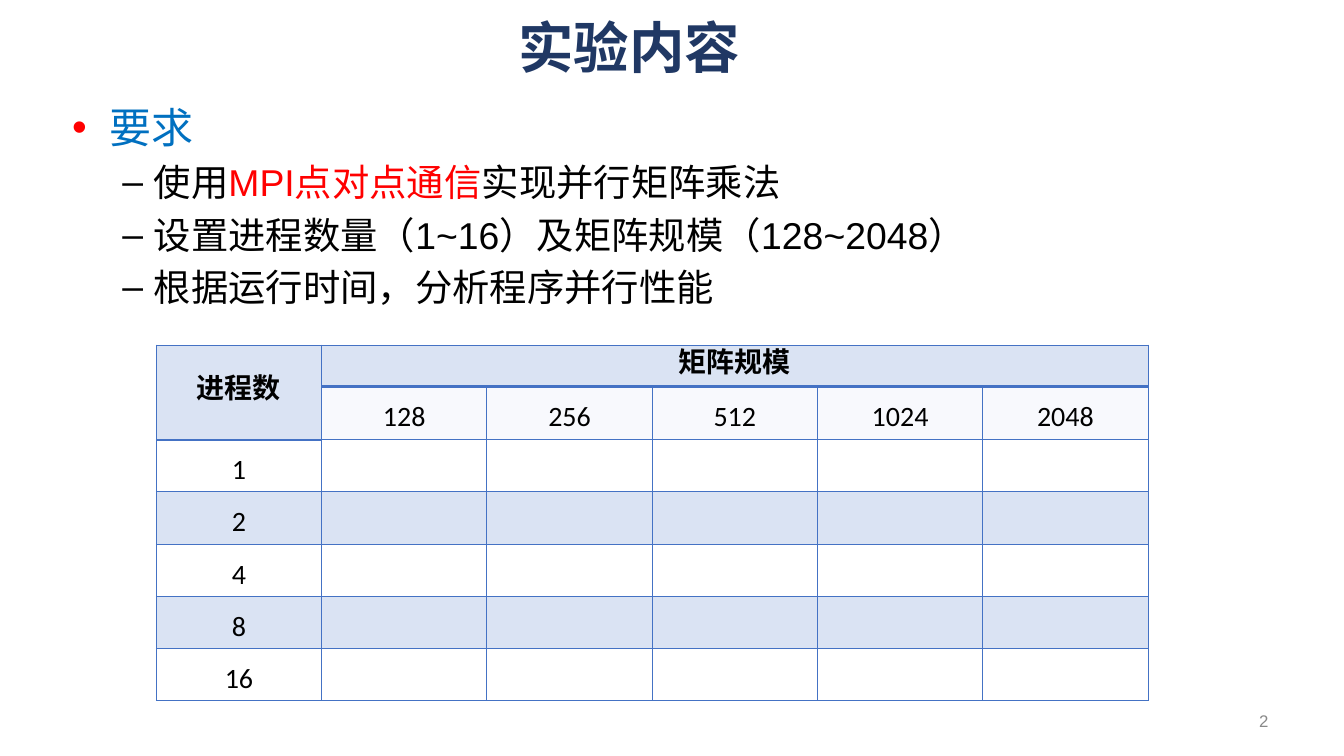
from dataclasses import dataclass

import pptx
import pptx.dml.color
import pptx.enum.lang
import pptx.enum.text
import pptx.oxml
import pptx.oxml.ns
import pptx.util
from lxml import etree

Pt = pptx.util.Pt
ALIGN = pptx.enum.text.PP_ALIGN
ANCHOR = pptx.enum.text.MSO_ANCHOR
qn = pptx.oxml.ns.qn

COLORS = {
    "navy": "203864", "blue": "0070C0", "red": "FF0000", "black": "000000",
    "gray": "898989", "line": "4472C4", "band": "DAE3F3", "pale": "F8F9FD",
}


@dataclass
class Bullet:
    char: str
    color: str
    size: float
    level: int
    margin: float
    indent: float
    runs: list[tuple[str, str]]


def rgb(name: str) -> pptx.dml.color.RGBColor:
    return pptx.dml.color.RGBColor.from_string(COLORS[name])


def add_text(p, text: str, *, size: float, color: str = "black",
             font: str = "Arial", bold: bool = False, align=None) -> None:
    r = p.add_run()
    r.text = text
    r.font.name, r.font.size, r.font.bold = font, Pt(size), bold
    r.font.color.rgb = rgb(color)
    r.font.language_id = pptx.enum.lang.MSO_LANGUAGE_ID.SIMPLIFIED_CHINESE
    if align is not None:
        p.alignment = align


def add_box(s, x: float, y: float, w: float, h: float, anchor=ANCHOR.TOP):
    tf = s.shapes.add_textbox(Pt(x), Pt(y), Pt(w), Pt(h)).text_frame
    tf.word_wrap = True
    tf.vertical_anchor = anchor
    return tf


def add_bullet(p, b: Bullet) -> None:
    p.level = b.level
    p.space_before = Pt(b.size * 0.2)
    pPr = p._p.get_or_add_pPr()
    pPr.set("marL", str(Pt(b.margin)))
    pPr.set("indent", str(Pt(-b.indent)))
    clr = etree.SubElement(pPr, qn("a:buClr"))
    etree.SubElement(clr, qn("a:srgbClr"), val=COLORS[b.color])
    etree.SubElement(pPr, qn("a:buFont"), typeface="Arial")
    etree.SubElement(pPr, qn("a:buChar"), char=b.char)
    for text, color in b.runs:
        add_text(p, text, size=b.size, color=color)


def set_borders(cell, top: float, bottom: float) -> None:
    tcPr = cell._tc.get_or_add_tcPr()
    for i, (side, width) in enumerate(
            [("L", 1), ("R", 1), ("T", top), ("B", bottom)]):
        ln = etree.Element(qn(f"a:ln{side}"), w=str(Pt(width)))
        fill = etree.SubElement(ln, qn("a:solidFill"))
        etree.SubElement(fill, qn("a:srgbClr"), val=COLORS["line"])
        tcPr.insert(i, ln)


def header_edge(row: int, col: int) -> bool:
    """True where the bottom of a cell closes a bold header."""
    return row == (1 if col == 0 else 0)


def fill_name(row: int, col: int) -> str | None:
    if row == 0 or (row == 1 and col == 0):
        return "band"
    if row == 1:
        return "pale"
    return "band" if row % 2 else None


def add_results(s) -> None:
    sizes = ["128", "256", "512", "1024", "2048"]
    counts = ["1", "2", "4", "8", "16"]
    heights = [35.5, 45.5] + [44.8] * len(counts)
    labels = {(0, 0): "进程数", (0, 1): "矩阵规模"}
    labels.update({(1, i): t for i, t in enumerate(sizes, 1)})
    labels.update({(i, 0): t for i, t in enumerate(counts, 2)})

    rows, cols = len(heights), len(sizes) + 1
    table = s.shapes.add_table(rows, cols, Pt(134), Pt(295.8),
                               Pt(850.2), Pt(sum(heights))).table
    table.first_row = table.horz_banding = False
    for row, height in zip(table.rows, heights):
        row.height = Pt(height)
    for col in table.columns:
        col.width = Pt(141.7)
    table.cell(0, 0).merge(table.cell(1, 0))
    table.cell(0, 1).merge(table.cell(0, cols - 1))

    for r in range(rows):
        for c in range(cols):
            cell = table.cell(r, c)
            fill = fill_name(r, c)
            if fill:
                cell.fill.solid()
                cell.fill.fore_color.rgb = rgb(fill)
            else:
                cell.fill.background()
            set_borders(cell, 2 if header_edge(r - 1, c) else 1,
                        2 if header_edge(r, c) else 1)
            if (r, c) not in labels:
                continue
            bold = r == 0
            cell.vertical_anchor = ANCHOR.MIDDLE
            cell.margin_left = cell.margin_right = Pt(0.7)
            cell.margin_top = Pt(0.7 if bold else 7.5)
            cell.margin_bottom = Pt(0)
            p = cell.text_frame.paragraphs[0]
            if bold:
                p.line_spacing = Pt(24)
            add_text(p, labels[r, c], size=24, font="Calibri", bold=bold,
                     align=ALIGN.CENTER)


def main() -> None:
    prs = pptx.Presentation()
    prs.slide_width, prs.slide_height = Pt(1152), Pt(648)
    s = prs.slides.add_slide(prs.slide_layouts[6])

    # Title
    tf = add_box(s, 167.8, 6.5, 743, 67, ANCHOR.MIDDLE)
    add_text(tf.paragraphs[0], "实验内容", size=47.5, color="navy", bold=True,
             align=ALIGN.CENTER)

    # Requirements
    tasks = [
        [("使用", "black"), ("MPI点对点通信", "red"),
         ("实现并行矩阵乘法", "black")],
        [("设置进程数量（1~16）及矩阵规模（128~2048）", "black")],
        [("根据运行时间，分析程序并行性能", "black")],
    ]
    bullets = [Bullet("•", "red", 36, 0, 32.4, 32.4, [("要求", "blue")])]
    bullets += [Bullet("–", "black", 32, 1, 70, 26.8, t) for t in tasks]
    tf = add_box(s, 54.7, 83.5, 1036.8, 481.7)
    for i, b in enumerate(bullets):
        add_bullet(tf.add_paragraph() if i else tf.paragraphs[0], b)

    # Results table
    add_results(s)

    # Slide number
    tf = add_box(s, 825.8, 600.5, 268.6, 34.5, ANCHOR.MIDDLE)
    add_text(tf.paragraphs[0], "2", size=14.4, color="gray", align=ALIGN.RIGHT)

    prs.save("out.pptx")


if __name__ == "__main__":
    main()
